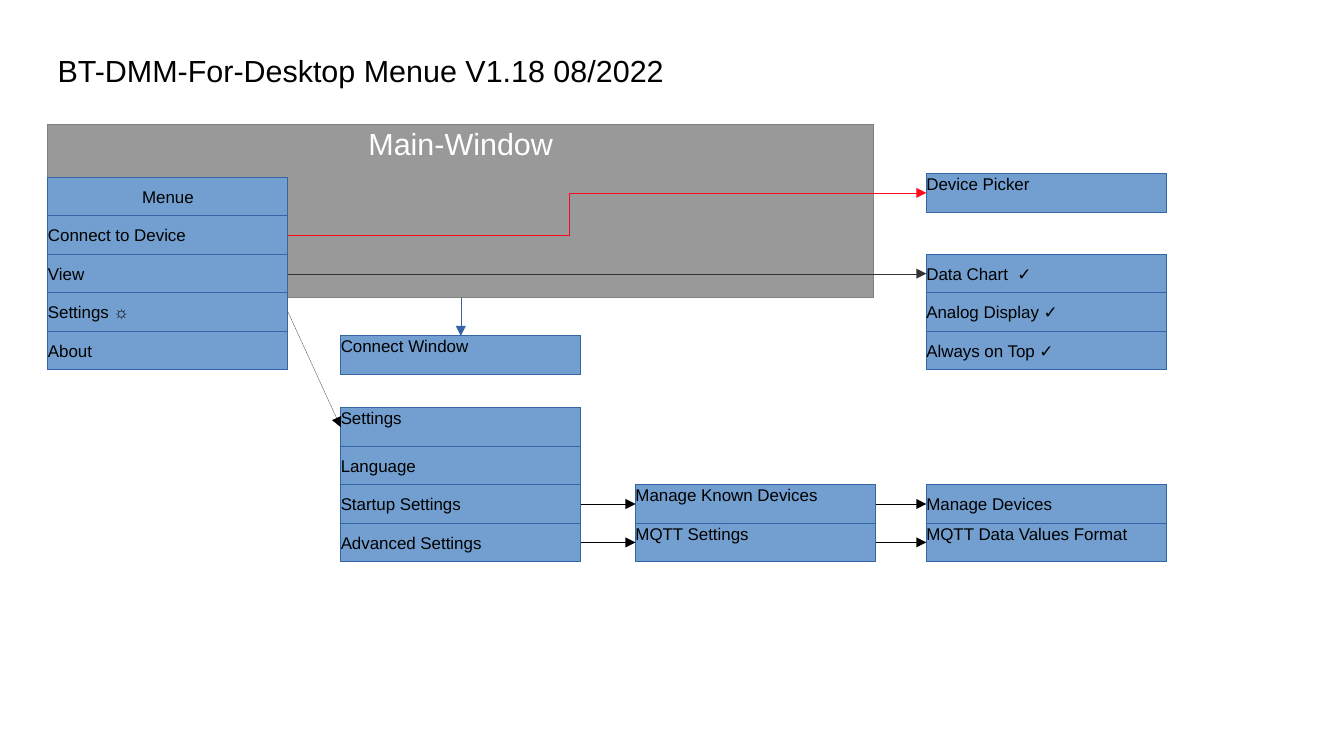
from dataclasses import dataclass

from lxml import etree
from pptx import Presentation
from pptx import util as u
from pptx.dml import color
from pptx.enum import shapes, text
from pptx.oxml import ns

MID, TOP = text.MSO_ANCHOR.MIDDLE, text.MSO_ANCHOR.TOP
LEFT, CENTER = text.PP_ALIGN.LEFT, text.PP_ALIGN.CENTER
STRAIGHT, ELBOW = shapes.MSO_CONNECTOR.STRAIGHT, shapes.MSO_CONNECTOR.ELBOW
WIDE, HIGH = 5, 0.8  # one menu entry, in cm


@dataclass
class Box:
    label: str
    left: float
    top: float
    width: float = WIDE
    height: float = HIGH
    fill: str = "729FCF"
    edge: str = "3465A4"
    ink: str = "000000"
    size: int = 10
    align: int = LEFT
    anchor: int = MID


@dataclass
class Stack:
    """Entries of one menu, from top to bottom."""
    left: float
    top: float
    labels: list[str]
    high: tuple = ()  # entries whose text sits at the top


@dataclass
class Link:
    start: str
    end: str
    hue: str = "000000"
    sides: tuple = (3, 1)
    bend: float = 0


MAIN = Box("Main-Window", 1, 2.6, 17.2, 3.6, "999999", "808080", "FFFFFF",
           18, CENTER, TOP)

STACKS = [
    Stack(1, 3.7, ["Menue", "Connect to Device", "View", "Settings ☼", "About"]),
    Stack(19.3, 3.62, ["Device Picker"], ("Device Picker",)),
    Stack(19.3, 5.3, ["Data Chart  ✓", "Analog Display ✓", "Always on Top ✓"]),
    Stack(7.1, 7, ["Connect Window"], ("Connect Window",)),
    Stack(7.1, 8.5, ["Settings", "Language", "Startup Settings",
                     "Advanced Settings"], ("Settings",)),
    Stack(13.24, 10.1, ["Manage Known Devices", "MQTT Settings"],
          ("Manage Known Devices", "MQTT Settings")),
    Stack(19.3, 10.1, ["Manage Devices", "MQTT Data Values Format"],
          ("MQTT Data Values Format",)),
]

LINKS = [
    Link("Connect to Device", "Device Picker", "FC0A1C", bend=0.44),
    Link("Startup Settings", "Manage Known Devices"),
    Link("Advanced Settings", "MQTT Settings"),
    Link("Manage Known Devices", "Manage Devices"),
    Link("MQTT Settings", "MQTT Data Values Format"),
    Link("Settings ☼", "Settings"),
    Link("View", "Data Chart  ✓", "333333"),
    Link("Main-Window", "Connect Window", "3465A4", (2, 0)),
]


def rgb(code: str) -> color.RGBColor:
    return color.RGBColor.from_string(code)


def apply(item, values: dict) -> None:
    for key, value in values.items():
        setattr(item, key, value)


def hairline(shape, hue: str):
    """Give the shape the thinnest line and return its a:ln element."""
    shape.line.color.rgb = rgb(hue)
    line = shape.element.spPr.find(ns.qn("a:ln"))
    line.set("w", "0")
    return line


def write(shape, words: str, size: int, ink: str, align: int, anchor: int,
          wrap: bool = True) -> None:
    frame = shape.text_frame
    apply(frame, {"margin_left": 0, "margin_top": 0, "margin_right": 0,
                  "margin_bottom": 0, "word_wrap": wrap,
                  "vertical_anchor": anchor})
    para = frame.paragraphs[0]
    para.alignment = align
    run = para.add_run()
    run.text = words
    apply(run.font, {"name": "Arial", "size": u.Pt(size)})
    run.font.color.rgb = rgb(ink)


def draw_box(slide, box: Box):
    area = map(u.Cm, (box.left, box.top, box.width, box.height))
    shape = slide.shapes.add_shape(shapes.MSO_SHAPE.RECTANGLE, *area)
    shape.shadow.inherit = False
    shape.fill.solid()
    shape.fill.fore_color.rgb = rgb(box.fill)
    hairline(shape, box.edge)
    write(shape, box.label, box.size, box.ink, box.align, box.anchor)
    return shape


def draw_link(slide, link: Link, boxes: dict) -> None:
    kind = ELBOW if link.bend else STRAIGHT
    line = slide.shapes.add_connector(kind, 0, 0, 0, 0)
    line.begin_connect(boxes[link.start], link.sides[0])
    line.end_connect(boxes[link.end], link.sides[1])
    etree.SubElement(hairline(line, link.hue), ns.qn("a:tailEnd"),
                     type="triangle")
    props = line.element.spPr
    etree.SubElement(props, ns.qn("a:effectLst"))
    if link.bend:
        guides = props.find(ns.qn("a:prstGeom")).find(ns.qn("a:avLst"))
        etree.SubElement(guides, ns.qn("a:gd"), name="adj1",
                         fmla=f"val {round(link.bend * 100000)}")


def main() -> None:
    deck = Presentation()
    apply(deck, {"slide_width": u.Cm(28), "slide_height": u.Cm(15.75)})
    slide = deck.slides.add_slide(deck.slide_layouts[6])

    title = slide.shapes.add_textbox(*map(u.Cm, (1.2, 1.12, 12.88, 0.7)))
    write(title, "BT-DMM-For-Desktop Menue V1.18 08/2022", 18, "000000",
          LEFT, MID, wrap=False)

    boxes = {MAIN.label: draw_box(slide, MAIN)}
    for stack in STACKS:
        for row, label in enumerate(stack.labels):
            boxes[label] = draw_box(slide, Box(
                label, stack.left, stack.top + row * HIGH,
                align=CENTER if label == "Menue" else LEFT,
                anchor=TOP if label in stack.high else MID))
    for link in LINKS:
        draw_link(slide, link, boxes)

    deck.save("out.pptx")


if __name__ == "__main__":
    main()
